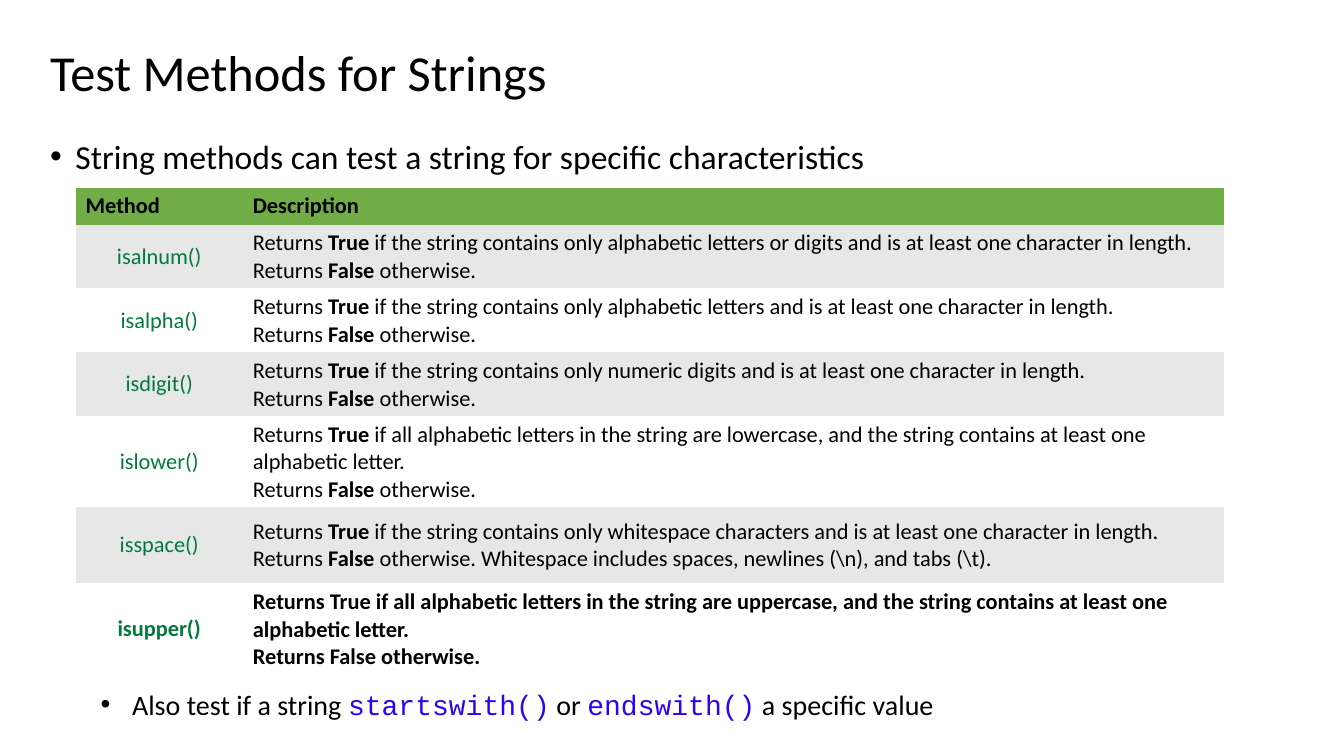
import pptx
import pptx.dml.color
import pptx.enum.text
import pptx.oxml
import pptx.oxml.ns
import pptx.util

Pt = pptx.util.Pt
RGBColor = pptx.dml.color.RGBColor
ALIGN = pptx.enum.text.PP_ALIGN
ANCHOR = pptx.enum.text.MSO_ANCHOR

BLACK = RGBColor(0x00, 0x00, 0x00)
WHITE = RGBColor(0xFF, 0xFF, 0xFF)
HEADER_GREEN = RGBColor(0x70, 0xAD, 0x47)
BAND_GREY = RGBColor(0xE7, 0xE7, 0xE7)
METHOD_GREEN = RGBColor(0x01, 0x7B, 0x3B)
CODE_BLUE = RGBColor(0x2F, 0x02, 0xF0)
NO_GRID_STYLE = "{2D5ABB26-0587-4C30-8999-92F81FD0307C}"

COLUMN_WIDTHS = (119.5, 701)
HEADER_HEIGHT = 25.2
OTHERWISE = " otherwise."
METHODS = [
    ("isalnum()", 43.2, " if the string contains only alphabetic letters or digits and is at least one character in length.", OTHERWISE),
    ("isalpha()", 43.2, " if the string contains only alphabetic letters and is at least one character in length.", OTHERWISE),
    ("isdigit()", 43.2, " if the string contains only numeric digits and is at least one character in length.", OTHERWISE),
    ("islower()", 61.2, " if all alphabetic letters in the string are lowercase, and the string contains at least one alphabetic letter.", OTHERWISE),
    ("isspace()", 54.7, " if the string contains only whitespace characters and is at least one character in length.",
     " otherwise. Whitespace includes spaces, newlines (\\n), and tabs (\\t)."),
    ("isupper()", 61.2, " if all alphabetic letters in the string are uppercase, and the string contains at least one alphabetic letter.", OTHERWISE),
]


def add_span(para, text, size=16, font="Calibri", color=BLACK, bold=False):
    span = para.add_run()
    span.text = text
    span.font.size = Pt(size)
    span.font.name = font
    span.font.color.rgb = color
    span.font.bold = bold


def add_box(page, left, top, width, height, anchor=ANCHOR.TOP):
    box = page.shapes.add_textbox(Pt(left), Pt(top), Pt(width), Pt(height))
    box.text_frame.word_wrap = True
    box.text_frame.vertical_anchor = anchor
    return box.text_frame.paragraphs[0]


def make_bullet(para, margin, hanging):
    para.alignment = ALIGN.JUSTIFY
    para.space_after = Pt(6)
    properties = para._p.get_or_add_pPr()
    properties.set("marL", str(Pt(margin)))
    properties.set("indent", str(-Pt(hanging)))
    namespace = pptx.oxml.ns.nsdecls("a")
    for tag in (f'<a:buFont {namespace} typeface="Arial"/>', f'<a:buChar {namespace} char="•"/>'):
        properties.append(pptx.oxml.parse_xml(tag))


def prepare_cell(cell, fill):
    cell.fill.solid()
    cell.fill.fore_color.rgb = fill
    cell.vertical_anchor = ANCHOR.MIDDLE
    return cell.text_frame.paragraphs[0]


def add_description(cell, fill, condition, ending, bold):
    first = prepare_cell(cell, fill)
    second = cell.text_frame.add_paragraph()
    for para, value, rest in ((first, "True", condition), (second, "False", ending)):
        add_span(para, "Returns ", bold=bold)
        add_span(para, value, bold=True)
        add_span(para, rest, bold=bold)


def add_method_table(page):
    heights = [HEADER_HEIGHT] + [method[1] for method in METHODS]
    table = page.shapes.add_table(
        len(heights), len(COLUMN_WIDTHS), Pt(54), Pt(134), Pt(sum(COLUMN_WIDTHS)), Pt(sum(heights))
    ).table
    table._tbl.tblPr.find(pptx.oxml.ns.qn("a:tableStyleId")).text = NO_GRID_STYLE
    for column, width in zip(table.columns, COLUMN_WIDTHS):
        column.width = Pt(width)
    for row, height in zip(table.rows, heights):
        row.height = Pt(height)
    for index, heading in enumerate(("Method", "Description")):
        add_span(prepare_cell(table.cell(0, index), HEADER_GREEN), heading, bold=True)
    for index, (name, _, condition, ending) in enumerate(METHODS, start=1):
        fill = BAND_GREY if index % 2 else WHITE
        bold = index == len(METHODS)
        para = prepare_cell(table.cell(index, 0), fill)
        para.alignment = ALIGN.CENTER
        add_span(para, name, color=METHOD_GREEN, bold=bold)
        add_description(table.cell(index, 1), fill, condition, ending, bold)


def main():
    deck = pptx.Presentation()
    deck.slide_width, deck.slide_height = Pt(960), Pt(540)
    page = deck.slides.add_slide(deck.slide_layouts[6])

    title = add_box(page, 28.8, 17.3, 828, 73.4, ANCHOR.MIDDLE)
    title.line_spacing = 0.9
    add_span(title, "Test Methods for Strings", size=36)

    intro = add_box(page, 28.8, 96.5, 866, 458.6)
    intro.line_spacing = 0.9
    make_bullet(intro, 18, 18)
    add_span(intro, "String methods can test a string for specific characteristics", size=24)

    add_method_table(page)

    closing = add_box(page, 28.8, 487.4, 845.3, 31.7)
    make_bullet(closing, 58.5, 22.5)
    code = {"font": "Courier New", "color": CODE_BLUE}
    for text, style in (
        ("Also test if a string ", {}),
        ("startswith()", code),
        (" or ", {}),
        ("endswith()", code),
        (" a specific value", {}),
    ):
        add_span(closing, text, size=20, **style)

    deck.save("out.pptx")


if __name__ == "__main__":
    main()
